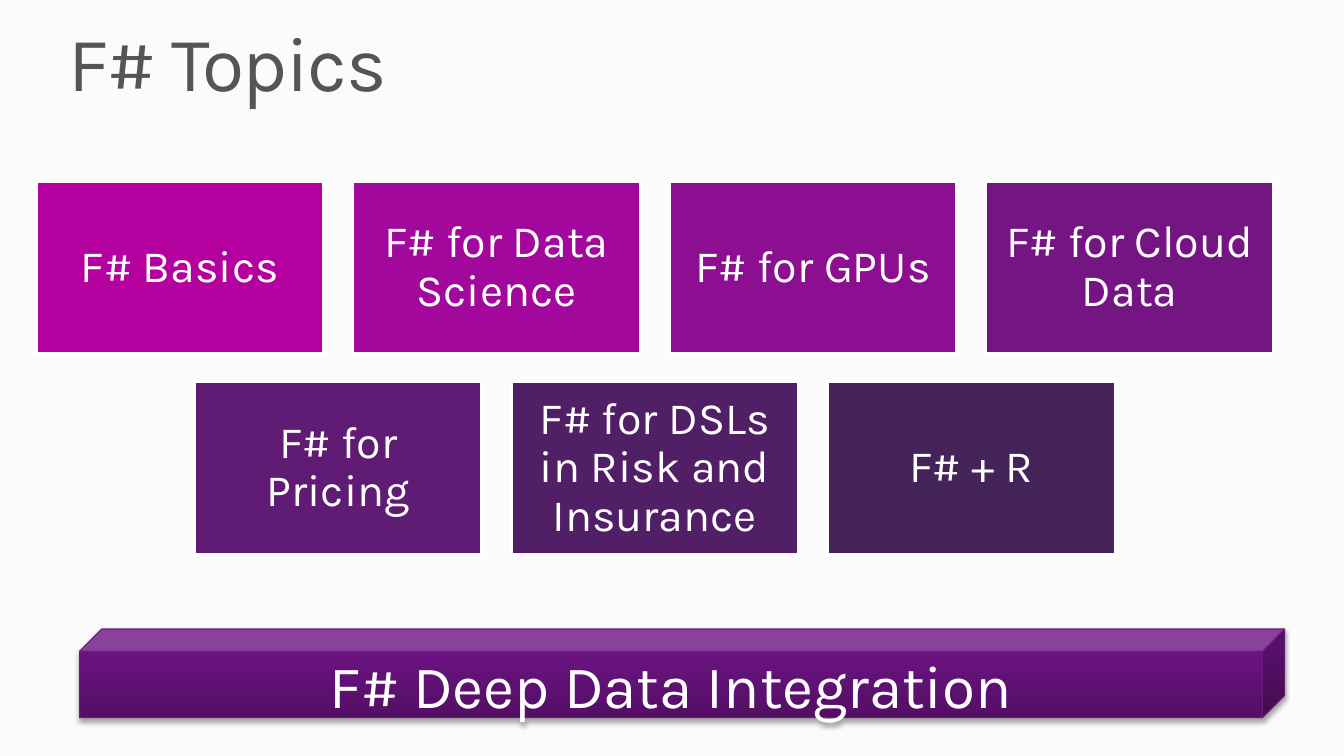
from copy import deepcopy
from dataclasses import dataclass

from lxml import etree
from pptx import Presentation
from pptx import util as u
from pptx.dml.color import RGBColor
from pptx.enum import shapes, text
from pptx.oxml.ns import qn

PX = 9144  # EMU per px, 100 px to the inch


@dataclass(frozen=True)
class Theme:
    font: str = "Karla"
    background: str = "FBFBFB"
    title: str = "555555"
    light: str = "FFFFFF"
    bar_line: str = "671E79"
    bar_stops: tuple = ((0, "540F65"), (0.8, "6C1383"), (1, "6E1186"))
    title_size: int = 55
    tile_size: int = 32
    bar_size: int = 43


@dataclass(frozen=True)
class Box:
    x: int
    y: int
    w: int
    h: int

    def emu(self) -> tuple:
        return tuple(u.Emu(v * PX) for v in (self.x, self.y, self.w, self.h))


@dataclass(frozen=True)
class Topic:
    label: str
    color: str


THEME = Theme()
TILE_W, TILE_H = 285, 171
STEP_X, STEP_Y = 314, 199
GRID_CENTER, GRID_TOP = 649, 180
TOPIC_ROWS = (
    (Topic("F# Basics", "B4009E"), Topic("F# for Data Science", "A3089D"),
     Topic("F# for GPUs", "8C0F92"), Topic("F# for Cloud Data", "741583")),
    (Topic("F# for Pricing", "601B74"),
     Topic("F# for DSLs in Risk and Insurance", "511F66"),
     Topic("F# + R", "442359")),
)


def rgb(value: str) -> RGBColor:
    return RGBColor.from_string(value)


def write(s, label: str, size: int, color: str, inset_x: int = 13,
          inset_y: int = 13, spacing: float = 0.9, centered: bool = True):
    """Fill a shape with one paragraph and return that paragraph."""
    tf = s.text_frame
    tf.word_wrap = True
    tf.margin_left = tf.margin_right = u.Emu(inset_x * PX)
    tf.margin_top = tf.margin_bottom = u.Emu(inset_y * PX)
    tf.vertical_anchor = text.MSO_ANCHOR.MIDDLE if centered else text.MSO_ANCHOR.TOP
    p = tf.paragraphs[0]
    p.text = label
    p.alignment = text.PP_ALIGN.CENTER if centered else text.PP_ALIGN.LEFT
    p.line_spacing = spacing
    p.font.name = THEME.font
    p.font.size = u.Pt(size)
    p.font.color.rgb = rgb(color)
    return p


def add_block(sp, kind, box: Box, line: str, width: float):
    s = sp.add_shape(kind, *box.emu())
    s.line.color.rgb = rgb(line)
    s.line.width = u.Pt(width)
    s.shadow.inherit = False
    return s


def add_title(sp) -> None:
    s = sp.add_textbox(*Box(68, 25, 1196, 83).emu())
    p = write(s, "F# Topics", THEME.title_size, THEME.title, 0, 0, centered=False)
    p._p.pPr.find(qn("a:defRPr")).set("spc", "-100")


def add_tile(sp, topic: Topic, box: Box) -> None:
    s = add_block(sp, shapes.MSO_SHAPE.RECTANGLE, box, THEME.light, 2)
    s.fill.solid()
    s.fill.fore_color.rgb = rgb(topic.color)
    write(s, topic.label, THEME.tile_size, THEME.light)


def add_bar(sp) -> None:
    s = add_block(sp, shapes.MSO_SHAPE.CUBE, Box(79, 624, 1195, 88),
                  THEME.bar_line, 0.75)
    # Three-stop gradient, running upwards
    s.fill.gradient()
    s.fill.gradient_angle = 90
    stops = s._element.spPr.find(qn("a:gradFill")).find(qn("a:gsLst"))
    stops.append(deepcopy(stops[-1]))
    for stop, (position, color) in zip(s.fill.gradient_stops, THEME.bar_stops):
        stop.position = position
        stop.color.rgb = rgb(color)
    # Soft shadow below
    effects = s._element.spPr.find(qn("a:effectLst"))
    shadow = etree.SubElement(effects, qn("a:outerShdw"), blurRad=str(u.Pt(3.1)),
                              dist=str(u.Pt(1.8)), dir="5400000", rotWithShape="0")
    black = etree.SubElement(shadow, qn("a:srgbClr"), val="000000")
    etree.SubElement(black, qn("a:alpha"), val="35000")
    write(s, "F# Deep Data Integration", THEME.bar_size, THEME.light,
          inset_y=7, spacing=1.0)


def main() -> None:
    prs = Presentation()
    prs.slide_width, prs.slide_height = u.Emu(1333 * PX), u.Emu(750 * PX)
    slide = prs.slides.add_slide(prs.slide_layouts[6])
    slide.background.fill.solid()
    slide.background.fill.fore_color.rgb = rgb(THEME.background)
    sp = slide.shapes

    # Topic tiles, each row centred
    for row, topics in enumerate(TOPIC_ROWS):
        left = GRID_CENTER - ((len(topics) - 1) * STEP_X + TILE_W) // 2
        for col, topic in enumerate(topics):
            add_tile(sp, topic, Box(left + col * STEP_X, GRID_TOP + row * STEP_Y,
                                    TILE_W, TILE_H))

    # Title and foundation bar
    add_title(sp)
    add_bar(sp)
    prs.save("out.pptx")


if __name__ == "__main__":
    main()
